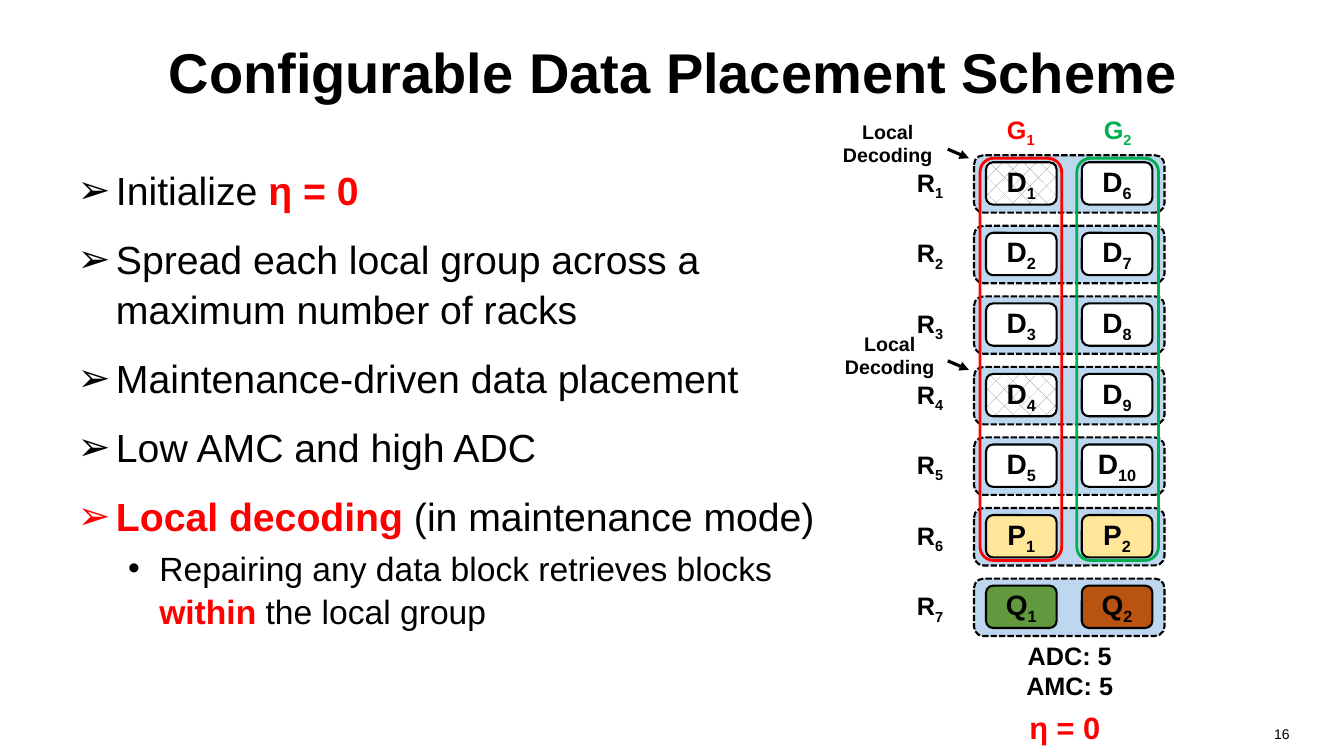
from lxml import etree
from pptx import Presentation
from pptx.dml.color import RGBColor
from pptx.enum.dml import MSO_LINE, MSO_PATTERN
from pptx.enum.shapes import MSO_CONNECTOR, MSO_SHAPE
from pptx.enum.text import MSO_ANCHOR, MSO_AUTO_SIZE, PP_ALIGN
from pptx.oxml.ns import qn
from pptx.util import Pt

PX = 9144  # 100 px to the inch
FONT = "Arial"
BLACK = RGBColor(0x00, 0x00, 0x00)
WHITE = RGBColor(0xFF, 0xFF, 0xFF)
GRAY = RGBColor(0x80, 0x80, 0x80)
RED = RGBColor(0xFF, 0x00, 0x00)
GREEN = RGBColor(0x00, 0xB0, 0x50)
RACK_BLUE = RGBColor(0xBD, 0xD7, 0xEE)
PARITY_YELLOW = RGBColor(0xFF, 0xE6, 0x99)
GLOBAL_GREEN = RGBColor(0x62, 0x98, 0x3E)
GLOBAL_ORANGE = RGBColor(0xB8, 0x54, 0x10)

LEFT, CENTER, RIGHT = PP_ALIGN.LEFT, PP_ALIGN.CENTER, PP_ALIGN.RIGHT
MIDDLE = MSO_ANCHOR.MIDDLE
ROUNDED = MSO_SHAPE.ROUNDED_RECTANGLE
STRAIGHT = MSO_CONNECTOR.STRAIGHT
BRICK = MSO_PATTERN.DIAGONAL_BRICK
DASHED = MSO_LINE.SQUARE_DOT
NO_AUTOFIT = MSO_AUTO_SIZE.NONE

STEPS = [
    (0, [("Initialize ", False), ("η = 0", True)]),
    (0, [("Spread each local group across a maximum number of racks", False)]),
    (0, [("Maintenance-driven data placement", False)]),
    (0, [("Low AMC and high ADC", False)]),
    (0, [("Local decoding ", True), ("(in maintenance mode)", False)]),
    (1, [("Repairing any data block retrieves blocks ", False),
         ("within", True), (" the local group", False)]),
]
# For each level: bullet, text size, left margin, hanging indent, space before
LEVELS = [("➢", 28, 38, 38, 14), ("•", 24, 81, 31, 5)]

RACKS = [
    (("D", "1"), ("D", "6")),
    (("D", "2"), ("D", "7")),
    (("D", "3"), ("D", "8")),
    (("D", "4"), ("D", "9")),
    (("D", "5"), ("D", "10")),
    (("P", "1"), ("P", "2")),
    (("Q", "1"), ("Q", "2")),
]
BLOCK_FILLS = {"P1": PARITY_YELLOW, "P2": PARITY_YELLOW,
               "Q1": GLOBAL_GREEN, "Q2": GLOBAL_ORANGE}
DECODED_BLOCKS = {"D1", "D4"}
RACK_PITCH = 70


def box(*lengths):
    return [length * PX for length in lengths]


def add_text(paragraph, text, size=18, color=BLACK, bold=True, subscript=""):
    for part, baseline in ((text, 0), (subscript, -25000)):
        if not part:
            continue
        run = paragraph.add_run()
        run.text = part
        run.font.name = FONT
        run.font.size = Pt(size)
        run.font.bold = bold
        run.font.color.rgb = color
        if baseline:
            run._r.get_or_add_rPr().set("baseline", str(baseline))


def add_label(slide, bounds, *lines, align=CENTER, **text_format):
    frame = slide.shapes.add_textbox(*box(*bounds)).text_frame
    frame.word_wrap = True
    for index, line in enumerate(lines):
        paragraph = frame.add_paragraph() if index else frame.paragraphs[0]
        paragraph.alignment = align
        add_text(paragraph, line, **text_format)


def add_rounded(slide, bounds, fill=None, line=BLACK, width=1.5):
    shape = slide.shapes.add_shape(ROUNDED, *box(*bounds))
    shape.shadow.inherit = False
    if fill is None:
        shape.fill.background()
    else:
        shape.fill.solid()
        shape.fill.fore_color.rgb = fill
    shape.line.color.rgb = line
    shape.line.width = Pt(width)
    return shape


def add_arrow(slide, start, end):
    arrow = slide.shapes.add_connector(STRAIGHT, *box(*start, *end))
    arrow.line.color.rgb = BLACK
    arrow.line.width = Pt(2.25)
    etree.SubElement(arrow.line._get_or_add_ln(), qn("a:tailEnd"), type="triangle")
    etree.SubElement(arrow._element.spPr, qn("a:effectLst"))


def move(shape, bounds):
    shape.left, shape.top, shape.width, shape.height = box(*bounds)


def add_title(slide, bounds):
    title = slide.shapes.title
    move(title, bounds)
    frame = title.text_frame
    frame.auto_size = NO_AUTOFIT
    frame.vertical_anchor = MIDDLE
    frame.paragraphs[0].alignment = CENTER
    add_text(frame.paragraphs[0], "Configurable Data Placement Scheme", size=40)


def add_steps(slide, bounds):
    body = slide.placeholders[1]
    move(body, bounds)
    frame = body.text_frame
    frame.auto_size = NO_AUTOFIT
    for index, (level, parts) in enumerate(STEPS):
        bullet, size, margin, hanging, space = LEVELS[level]
        paragraph = frame.add_paragraph() if index else frame.paragraphs[0]
        paragraph.level = level
        paragraph.alignment = LEFT
        paragraph.line_spacing = 1.05
        paragraph.space_before = Pt(space if index else 0)
        properties = paragraph._p.get_or_add_pPr()
        properties.set("marL", str(margin * PX))
        properties.set("indent", str(-hanging * PX))
        etree.SubElement(properties, qn("a:buFont"), typeface=FONT)
        etree.SubElement(properties, qn("a:buChar"), char=bullet)
        for text, key in parts:
            add_text(paragraph, text, size=size, bold=key, color=RED if key else BLACK)


def add_block(slide, bounds, letter, number):
    name = letter + number
    block = add_rounded(slide, bounds, BLOCK_FILLS.get(name, WHITE))
    if name in DECODED_BLOCKS:
        block.fill.patterned()
        block.fill.pattern = BRICK
        block.fill.fore_color.rgb = GRAY
        block.fill.back_color.rgb = WHITE
    frame = block.text_frame
    frame.margin_left = frame.margin_right = 0
    frame.vertical_anchor = MIDDLE
    frame.paragraphs[0].alignment = CENTER
    add_text(frame.paragraphs[0], letter, size=20, subscript=number)


def add_rack(slide, left, top, number, blocks):
    add_rounded(slide, (left, top, 189, 57), RACK_BLUE).line.dash_style = DASHED
    add_label(slide, (left - 71, top + 7, 55, 35), "R", subscript=str(number))
    for column, block in enumerate(blocks):
        add_block(slide, (left + 12 + 95 * column, top + 7, 70, 42), *block)


def add_placement(slide, left, top):
    """Draw the racks, local groups, decoding notes and totals."""
    for index, blocks in enumerate(RACKS):
        add_rack(slide, left, top + RACK_PITCH * index, index + 1, blocks)
    for index, color in enumerate((RED, GREEN)):
        group_left = left + 6 + 96 * index
        add_rounded(slide, (group_left, top + 3, 81, 399), line=color, width=2)
        add_label(slide, (group_left + 14, top - 46, 53, 35), "G",
                  color=color, subscript=str(index + 1))
    for rack_top, note_left in ((top, 824), (top + 3 * RACK_PITCH, 826)):
        add_label(slide, (note_left, rack_top - 40, 113, 50), "Local", "Decoding", size=14)
        add_arrow(slide, (left - 26, rack_top - 6), (left - 5, rack_top + 3))
    add_label(slide, (left + 12, top + 476, 166, 62), "ADC: 5", "AMC: 5")
    add_label(slide, (left + 45, top + 544, 102, 47), "η = 0",
              align=LEFT, size=22, color=RED)


def main():
    presentation = Presentation()
    presentation.slide_width, presentation.slide_height = box(1333, 750)
    slide = presentation.slides.add_slide(presentation.slide_layouts[1])
    add_title(slide, (67, 8, 1200, 125))
    add_steps(slide, (67, 158, 757, 512))
    add_placement(slide, 966, 154)
    add_label(slide, (978, 715, 311, 35), "16", align=RIGHT, size=10, bold=False)
    presentation.save("out.pptx")


if __name__ == "__main__":
    main()
